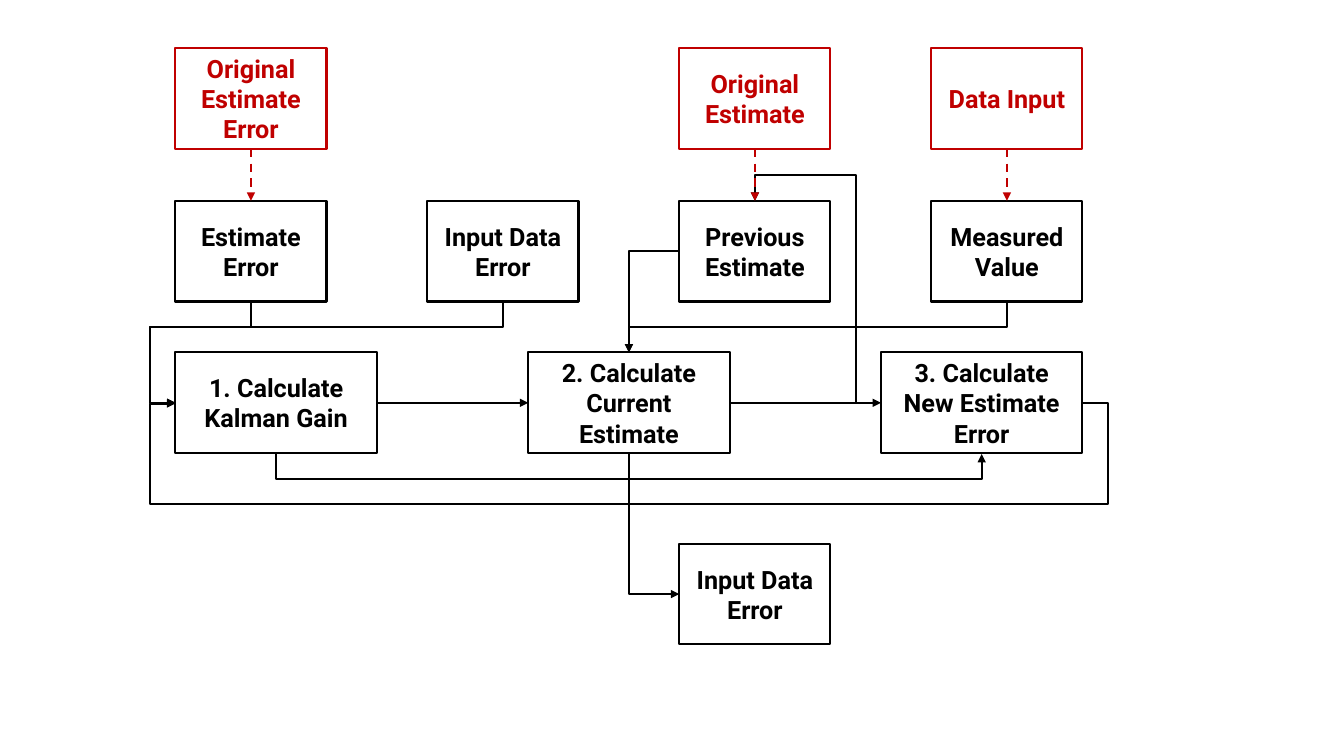
from itertools import pairwise
from lxml.etree import SubElement
from pptx import Presentation
from pptx.dml.color import RGBColor
from pptx.enum.dml import MSO_LINE
from pptx.enum.shapes import MSO_CONNECTOR, MSO_SHAPE
from pptx.enum.text import MSO_ANCHOR, PP_ALIGN
from pptx.oxml.ns import qn
from pptx.util import Cm, Pt

BLACK, RED, WHITE = "000000", "C00000", "FFFFFF"
LEFT, HEIGHT = 4.42, 2.54
NARROW, NARROW_STEP = 3.81, 6.35
WIDE, WIDE_STEP = 5.08, 8.89
ORIGIN_TOP, INPUT_TOP, STEP_TOP, RESULT_TOP = 1.21, 5.06, 8.88, 13.7
GAP = 0.64
OFFSET = 0.02


def color(value):
    return RGBColor.from_string(value)


def draw_arrow(points, shade=BLACK, dashed=False):
    (x1, y1), (x2, y2) = points[0], points[-1]
    width, height = abs(x2 - x1), abs(y2 - y1)
    segments = len(points) - 1
    turned = segments > 1 and points[0][0] == points[1][0]
    if turned:
        width, height = height, width
    left, top = (x1 + x2 - width) / 2, (y1 + y2 - height) / 2
    kind = MSO_CONNECTOR.ELBOW if segments > 1 else MSO_CONNECTOR.STRAIGHT
    arrow = page.shapes.add_connector(
        kind, Cm(left), Cm(top), Cm(left + width), Cm(top + height))
    arrow.line.color.rgb = color(shade)
    arrow.line.width = Pt(1.5)
    if dashed:
        arrow.line.dash_style = MSO_LINE.DASH
    properties = arrow.element.spPr
    SubElement(properties.find(qn("a:ln")), qn("a:tailEnd"), type="triangle")
    SubElement(properties, qn("a:effectLst"))
    if segments == 1:
        return

    frame = properties.find(qn("a:xfrm"))
    if turned:
        frame.set("rot", str((90 if x2 < x1 else 270) * 60000))
    if (x2 > x1) if turned else (x2 < x1):
        frame.set("flipH", "1")
    if not turned and y2 < y1:
        frame.set("flipV", "1")
    geometry = properties.find(qn("a:prstGeom"))
    geometry.set("prst", f"bentConnector{segments}")
    guides = geometry.find(qn("a:avLst"))
    for number, (x, y) in enumerate(points[1:segments - 1], 1):
        along_x = (number % 2 == 1) != turned
        share = (x - x1) / (x2 - x1) if along_x else (y - y1) / (y2 - y1)
        SubElement(guides, qn("a:gd"), name=f"adj{number}",
                   fmla=f"val {round(share * 100000)}")


deck = Presentation()
deck.slide_width, deck.slide_height = Cm(33.87), Cm(19.05)
page = deck.slides.add_slide(deck.slide_layouts[6])

columns = [LEFT + NARROW_STEP * index for index in range(4)]
steps = [LEFT + WIDE_STEP * index for index in range(3)]
boxes = [
    ("Estimate Error", columns[0], INPUT_TOP, NARROW, BLACK),
    ("Input Data Error", columns[1], INPUT_TOP, NARROW, BLACK),
    ("Previous Estimate", columns[2], INPUT_TOP, NARROW, BLACK),
    ("Measured Value", columns[3], INPUT_TOP, NARROW, BLACK),
    ("1. Calculate Kalman Gain", steps[0], STEP_TOP, WIDE, BLACK),
    ("2. Calculate Current Estimate", steps[1], STEP_TOP, WIDE, BLACK),
    ("3. Calculate New Estimate Error", steps[2], STEP_TOP, WIDE, BLACK),
    ("Input Data Error", columns[2], RESULT_TOP, NARROW, BLACK),
    ("Original Estimate Error", columns[0], ORIGIN_TOP, NARROW, RED),
    ("Original Estimate", columns[2], ORIGIN_TOP, NARROW, RED),
    ("Data Input", columns[3], ORIGIN_TOP, NARROW, RED),
]
for label, left, top, width, shade in boxes:
    box = page.shapes.add_shape(
        MSO_SHAPE.RECTANGLE, Cm(left), Cm(top), Cm(width), Cm(HEIGHT))
    box.shadow.inherit = False
    box.fill.solid()
    box.fill.fore_color.rgb = color(WHITE)
    box.line.color.rgb = color(shade)
    box.line.width = Pt(1.5)
    box.text_frame.word_wrap = True
    box.text_frame.vertical_anchor = MSO_ANCHOR.MIDDLE
    para = box.text_frame.paragraphs[0]
    para.text = label
    para.alignment = PP_ALIGN.CENTER
    para.font.name = "Roboto"
    para.font.size = Pt(18)
    para.font.bold = True
    para.font.color.rgb = color(shade)

centers = [left + NARROW / 2 for left in columns]
step_centers = [left + WIDE / 2 for left in steps]
input_middle, input_bottom = INPUT_TOP + HEIGHT / 2, INPUT_TOP + HEIGHT
step_middle, step_bottom = STEP_TOP + HEIGHT / 2, STEP_TOP + HEIGHT
result_middle = RESULT_TOP + HEIGHT / 2
merge = (input_bottom + STEP_TOP) / 2
left_lane = LEFT - GAP
right_edge = steps[2] + WIDE
right_lane = right_edge + GAP
feedback_lane = columns[2] + NARROW + GAP
gain_lane = step_bottom + GAP
return_lane = step_bottom + 2 * GAP

for start, end in pairwise(steps):
    draw_arrow([(start + WIDE, step_middle), (end, step_middle)])
for center in centers[:2]:
    draw_arrow([(center, input_bottom), (center, merge), (left_lane, merge),
                (left_lane, step_middle), (LEFT, step_middle)])
draw_arrow([(columns[2], input_middle), (step_centers[1], input_middle),
            (step_centers[1], STEP_TOP)])
draw_arrow([(centers[3], input_bottom), (centers[3], merge),
            (step_centers[1], merge), (step_centers[1], STEP_TOP)])
draw_arrow([(step_centers[1], step_bottom), (step_centers[1], result_middle),
            (columns[2], result_middle)])
draw_arrow([(step_centers[0], step_bottom), (step_centers[0], gain_lane),
            (step_centers[2], gain_lane),
            (step_centers[2], step_bottom + OFFSET)])
draw_arrow([(right_edge, step_middle), (right_lane, step_middle),
            (right_lane, return_lane), (left_lane, return_lane),
            (left_lane, step_middle + OFFSET), (LEFT, step_middle + OFFSET)])
draw_arrow([(steps[1] + WIDE, step_middle), (feedback_lane, step_middle),
            (feedback_lane, INPUT_TOP - GAP), (centers[2], INPUT_TOP - GAP),
            (centers[2], INPUT_TOP)])
for index in (0, 2, 3):
    draw_arrow([(centers[index], ORIGIN_TOP + HEIGHT),
                (centers[index], INPUT_TOP)], RED, dashed=True)

deck.save("out.pptx")
